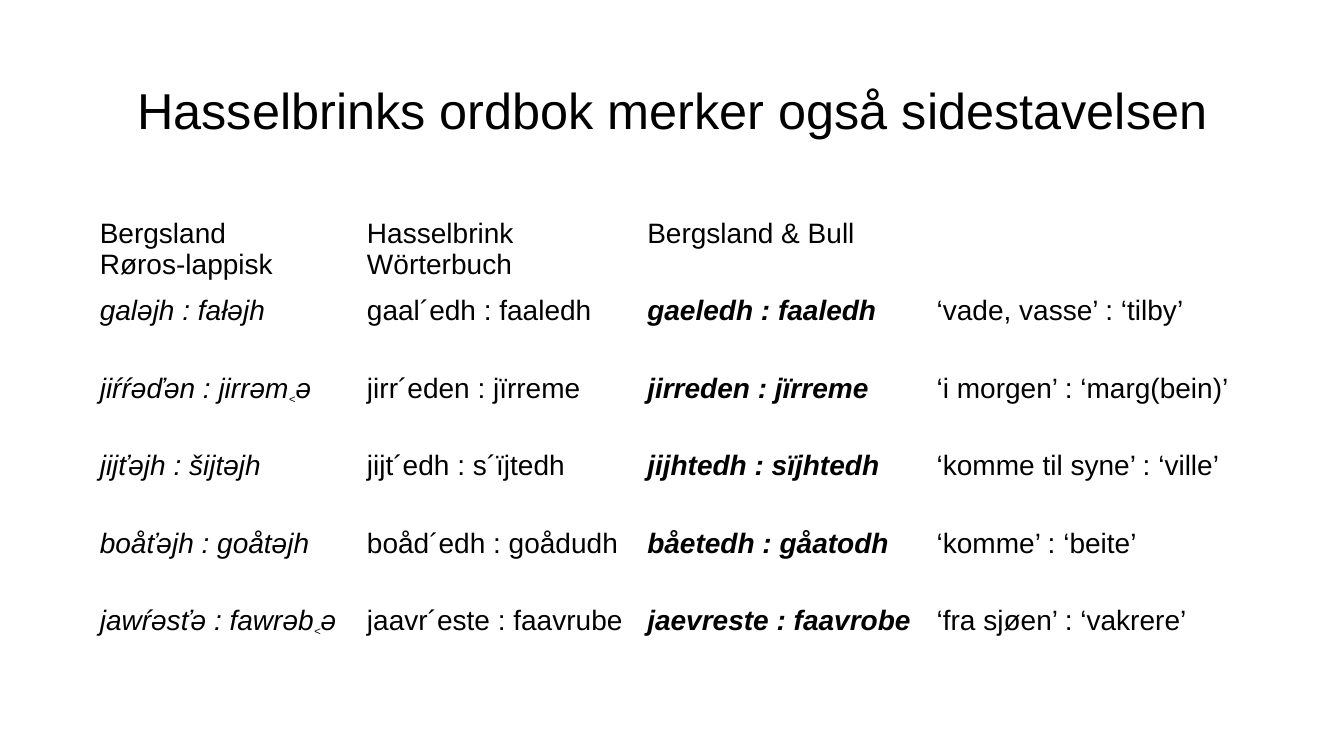
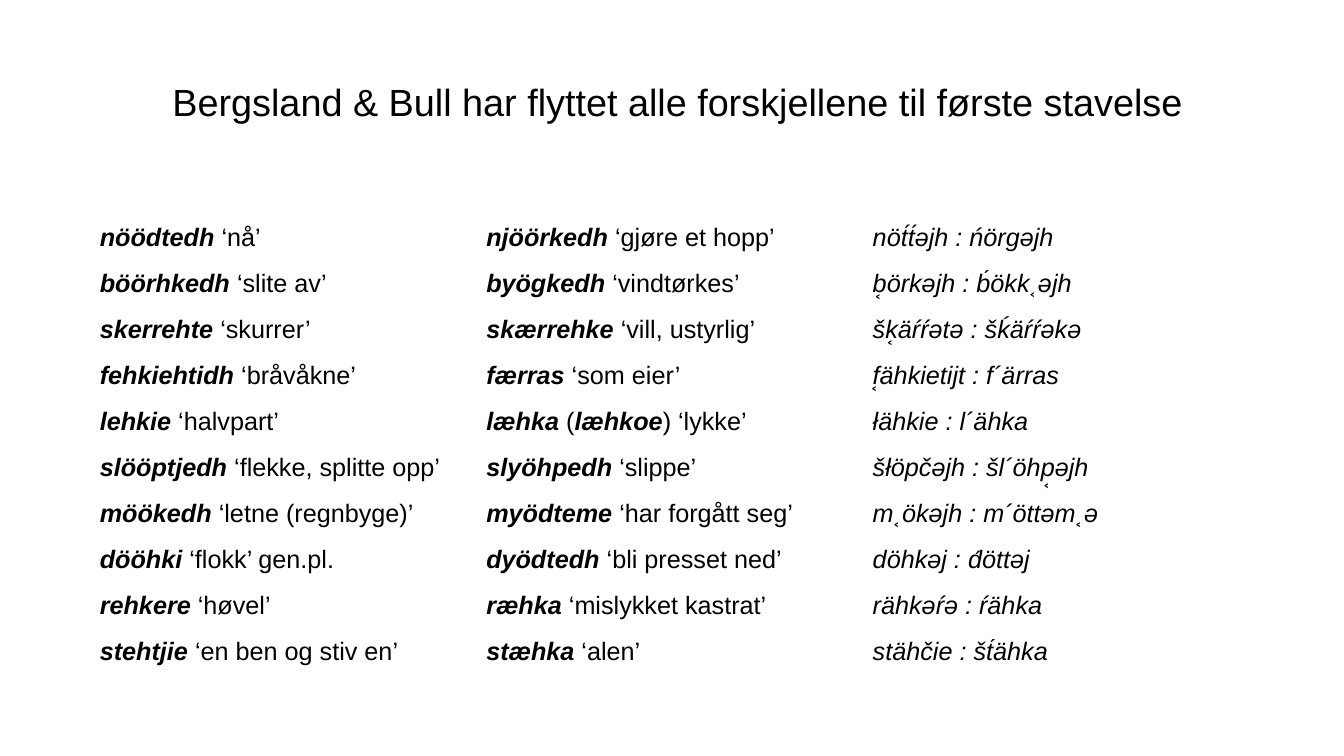
from dataclasses import dataclass
from typing import NamedTuple

from pptx import Presentation
from pptx.dml.color import RGBColor
from pptx.enum.text import MSO_ANCHOR, PP_ALIGN
from pptx.util import Inches, Pt

CENTER = PP_ALIGN.CENTER
TOP = MSO_ANCHOR.TOP
MIDDLE = MSO_ANCHOR.MIDDLE


@dataclass(frozen=True)
class Theme:
    font: str = "Arial"
    ink: RGBColor = RGBColor(0x00, 0x00, 0x00)
    paper: RGBColor = RGBColor(0xFF, 0xFF, 0xFF)
    title_large: int = 36
    title_small: int = 27
    body_large: int = 20
    body_small: int = 18
    mark: int = 14
    mark_baseline: int = -25000
    left: float = 0.92
    width: float = 11.5
    title_height: float = 1.45
    cell_inset: float = 0.07


THEME = Theme()


class Span(NamedTuple):
    text: str
    bold: bool = False
    italic: bool = False
    lowered: bool = False


Line = list[Span]
Cell = list[Line]


@dataclass(frozen=True)
class WordSlide:
    title: str
    title_top: float
    title_size: int
    table_top: float
    table_height: float
    column_widths: list[float]
    body_size: int
    rows: list[list[Cell]]


# Kinds of cell text
def plain(*lines: str) -> Cell:
    return [[Span(line)] for line in lines]


def phonetic(text: str) -> Cell:
    return [[Span(text, italic=True)]]


def phonetic_marked(stem: str) -> Cell:
    """A form whose last vowel follows a lowered mark."""
    return [[Span(stem, italic=True), Span("<", italic=True, lowered=True), Span("ə", italic=True)]]


def headword(word: str, gloss: str = "") -> Cell:
    spans = [Span(word, bold=True, italic=True)]
    return [spans + [Span(f" {gloss}")] if gloss else spans]


# Content of the dictionary comparison
HEADER = [
    plain("Bergsland", "Røros-lappisk"),
    plain("Hasselbrink Wörterbuch"),
    plain("Bergsland & Bull"),
    plain(),
]

COMPARISONS = [
    (phonetic("galəjh : fałəjh"), "gaal´edh : faaledh", "gaeledh : faaledh", "‘vade, vasse’ : ‘tilby’"),
    (phonetic_marked("jiŕŕəďən : jirrəm"), "jirr´eden : jïrreme", "jirreden : jïrreme", "‘i morgen’ : ‘marg(bein)’"),
    (phonetic("jijťəjh : šijtəjh"), "jijt´edh : s´ïjtedh", "jijhtedh : sïjhtedh", "‘komme til syne’ : ‘ville’"),
    (phonetic("boåťəjh : goåtəjh"), "boåd´edh : goådudh", "båetedh : gåatodh", "‘komme’ : ‘beite’"),
    (phonetic_marked("jawŕəsťə : fawrəb"), "jaavr´este : faavrube", "jaevreste : faavrobe", "‘fra sjøen’ : ‘vakrere’"),
]

# Content of the word pairs: two headwords with glosses, then their phonetic forms
LAEHKA = [[*headword("læhka", "(")[0], *headword("læhkoe")[0], Span(") ‘lykke’")]]

WORD_PAIRS = [
    (headword("nöödtedh", "‘nå’"), headword("njöörkedh", "‘gjøre et hopp’"), "nöt́t́əjh : ńörgəjh"),
    (headword("böörhkedh", "‘slite av’"), headword("byögkedh", "‘vindtørkes’"), "b͔örkəjh : b́ökk˱əjh"),
    (headword("skerrehte", "‘skurrer’"), headword("skærrehke", "‘vill, ustyrlig’"), "šk͔äŕŕətə : šḱäŕŕəkə"),
    (headword("fehkiehtidh", "‘bråvåkne’"), headword("færras", "‘som eier’"), "f͔ähkietijt : f´ärras"),
    (headword("lehkie", "‘halvpart’"), LAEHKA, "łähkie : l´ähka"),
    (headword("slööptjedh", "‘flekke, splitte opp’"), headword("slyöhpedh", "‘slippe’"), "šłöpčəjh : šl´öhp͔əjh"),
    (headword("möökedh", "‘letne (regnbyge)’"), headword("myödteme", "‘har forgått seg’"), "m˱ökəjh : m´öttəm˱ə"),
    (headword("dööhki", "‘flokk’ gen.pl."), headword("dyödtedh", "‘bli presset ned’"), "döhkəj : d́öttəj"),
    (headword("rehkere", "‘høvel’"), headword("ræhka", "‘mislykket kastrat’"), "rähkəŕə : ŕähka"),
    (headword("stehtjie", "‘en ben og stiv en’"), headword("stæhka", "‘alen’"), "stähčie : št́ähka"),
]

WORD_SLIDES = [
    WordSlide(
        title="Hasselbrinks ordbok merker også sidestavelsen",
        title_top=0.4,
        title_size=THEME.title_large,
        table_top=2.16,
        table_height=4.62,
        column_widths=[2.65, 2.78, 2.87, 3.2],
        body_size=THEME.body_large,
        rows=[HEADER] + [
            [form, plain(dictionary), headword(modern), plain(gloss)]
            for form, dictionary, modern, gloss in COMPARISONS
        ],
    ),
    WordSlide(
        title=" Bergsland & Bull har flyttet alle forskjellene til første stavelse",
        title_top=0.31,
        title_size=THEME.title_small,
        table_top=2.22,
        table_height=4.57,
        column_widths=[THEME.width / 3] * 3,
        body_size=THEME.body_small,
        rows=[[first, second, phonetic(forms)] for first, second, forms in WORD_PAIRS],
    ),
]


def style_font(font, size: int) -> None:
    font.name = THEME.font
    font.size = Pt(size)
    font.color.rgb = THEME.ink


def add_title(page, content: WordSlide) -> None:
    box = page.shapes.add_textbox(
        Inches(THEME.left), Inches(content.title_top), Inches(THEME.width), Inches(THEME.title_height)
    )
    frame = box.text_frame
    frame.word_wrap = True
    frame.vertical_anchor = MIDDLE
    frame.text = content.title
    para = frame.paragraphs[0]
    para.alignment = CENTER
    para.line_spacing = 0.9
    style_font(para.runs[0].font, content.title_size)


def add_span(para, span: Span, size: int) -> None:
    run = para.add_run()
    run.text = span.text
    style_font(run.font, THEME.mark if span.lowered else size)
    run.font.bold = span.bold
    run.font.italic = span.italic
    if span.lowered:
        run._r.get_or_add_rPr().set("baseline", str(THEME.mark_baseline))


def fill_cell(cell, lines: Cell, size: int) -> None:
    cell.fill.solid()
    cell.fill.fore_color.rgb = THEME.paper
    cell.vertical_anchor = TOP
    cell.margin_left = cell.margin_right = Inches(THEME.cell_inset)
    cell.margin_top = cell.margin_bottom = Inches(0)
    frame = cell.text_frame
    for index, line in enumerate(lines):
        para = frame.add_paragraph() if index else frame.paragraphs[0]
        for span in line:
            add_span(para, span, size)


def add_word_table(page, content: WordSlide) -> None:
    table = page.shapes.add_table(
        len(content.rows), len(content.column_widths),
        Inches(THEME.left), Inches(content.table_top), Inches(THEME.width), Inches(content.table_height),
    ).table
    table.first_row = False
    table.horz_banding = False
    for column, width in zip(table.columns, content.column_widths):
        column.width = Inches(width)
    for row, cells in zip(table.rows, content.rows):
        for cell, lines in zip(row.cells, cells):
            fill_cell(cell, lines, content.body_size)


def main() -> None:
    deck = Presentation()
    deck.slide_width = Inches(13.33)
    deck.slide_height = Inches(7.5)
    blank = deck.slide_layouts[6]
    for content in WORD_SLIDES:
        page = deck.slides.add_slide(blank)
        add_title(page, content)
        add_word_table(page, content)
    deck.save("out.pptx")


if __name__ == "__main__":
    main()
